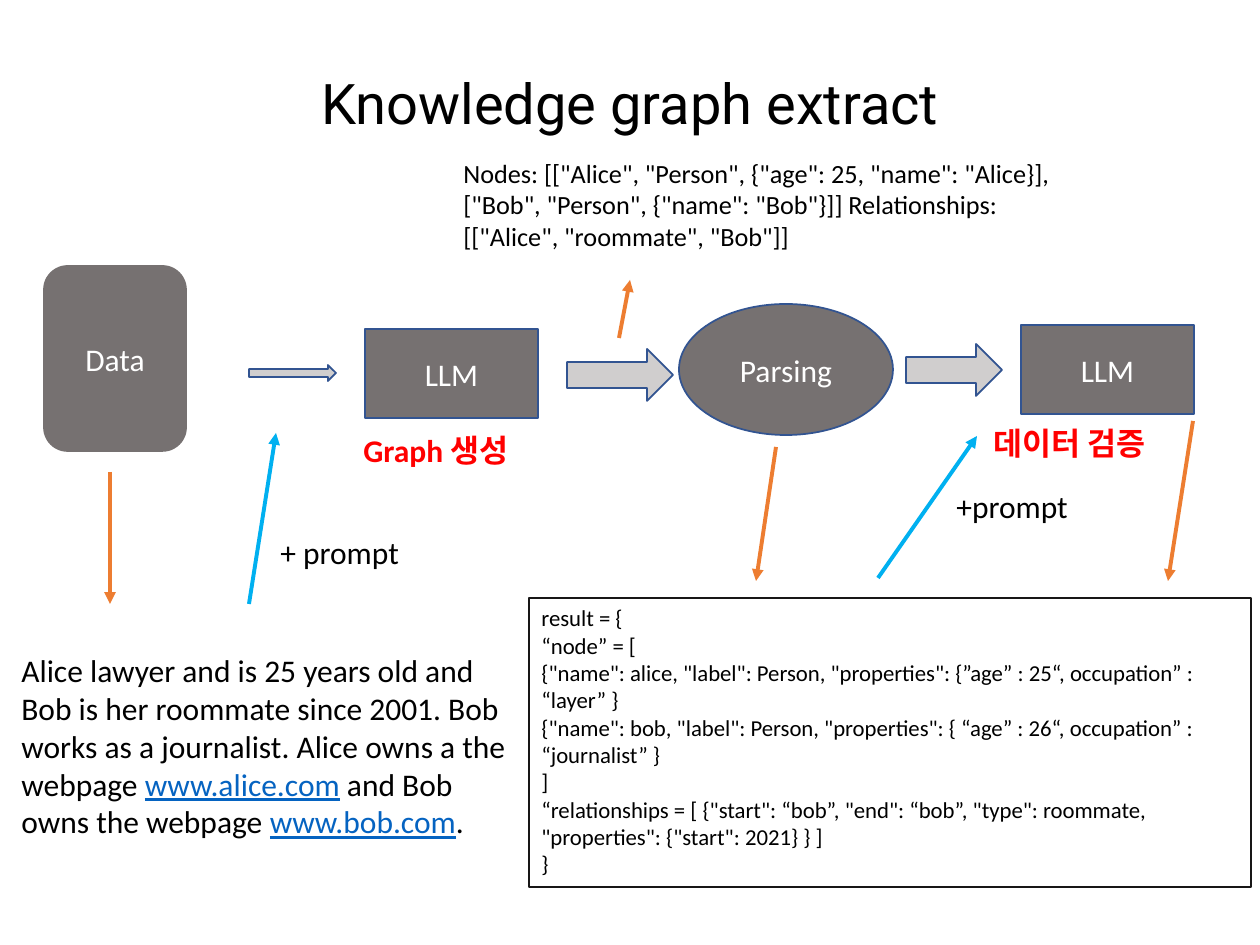
from dataclasses import dataclass

from lxml import etree
from pptx import Presentation
from pptx.dml.color import RGBColor
from pptx.enum import shapes, text
from pptx.oxml import ns
from pptx.util import Pt

PX = 914400 / 126
KIND = shapes.MSO_SHAPE
MIDDLE = text.MSO_ANCHOR.MIDDLE
CENTER = text.PP_ALIGN.CENTER


@dataclass(frozen=True)
class Theme:
    font: str = "Calibri"
    title_font: str = "Roboto"
    ink: str = "000000"
    paper: str = "FFFFFF"
    node: str = "767171"
    arrow: str = "D0CECE"
    outline: str = "325491"
    frame: str = "181717"
    output: str = "ED7D31"
    prompt: str = "00B0F0"
    stage: str = "FF0000"
    link: str = "0563C1"
    title_size: int = 32
    body_size: int = 18
    nodes_size: int = 15
    code_size: int = 13


T = Theme()


def emu(*lengths):
    return [round(n * PX) for n in lengths]


def rgb(color):
    return RGBColor.from_string(color)


def write(sp, paragraphs, size=T.body_size, color=T.ink, font=T.font, bold=False,
          align=None, anchor=text.MSO_ANCHOR.TOP, spacing=None):
    """Fill sp with paragraphs; each is a string or a list of (text, is_link) runs."""
    tf = sp.text_frame
    tf.word_wrap = True
    tf.vertical_anchor = anchor
    for i, runs in enumerate(paragraphs):
        p = tf.paragraphs[0] if i == 0 else tf.add_paragraph()
        p.alignment = align or text.PP_ALIGN.LEFT
        p.line_spacing = spacing
        for words, is_link in [(runs, False)] if isinstance(runs, str) else runs:
            r = p.add_run()
            r.text = words
            r.font.name, r.font.size, r.font.bold = font, Pt(size), bold
            r.font.underline = is_link
            r.font.color.rgb = rgb(T.link if is_link else color)


def text_box(slide, box, paragraphs, **style):
    write(slide.shapes.add_textbox(*emu(*box)), paragraphs, **style)


def block(slide, kind, box, fill, line, width=1):
    sp = slide.shapes.add_shape(kind, *emu(*box))
    sp.shadow.inherit = False
    sp.fill.solid()
    sp.fill.fore_color.rgb = rgb(fill)
    sp.line.color.rgb = rgb(line)
    sp.line.width = Pt(width)
    return sp


def pointer(slide, start, end, color):
    """Draw a line with an arrowhead at its end."""
    cxn = slide.shapes.add_connector(shapes.MSO_CONNECTOR.STRAIGHT, *emu(*start, *end))
    cxn.line.color.rgb = rgb(color)
    cxn.line.width = Pt(2.25)
    etree.SubElement(cxn.line._get_or_add_ln(), ns.qn("a:tailEnd"), type="triangle")
    etree.SubElement(cxn._element.spPr, ns.qn("a:effectLst"))


def add_title(slide, box):
    text_box(slide, box, ["Knowledge graph extract"], size=T.title_size,
             font=T.title_font, align=CENTER, anchor=MIDDLE, spacing=0.9)


def add_pipeline(slide, left, top):
    """Stages from Data to the second LLM, with the block arrows between them."""
    for x, y, w, h in [(205, 99, 87, 16), (523, 83, 106, 52), (862, 78, 96, 52)]:
        block(slide, KIND.RIGHT_ARROW, (left + x, top + y, w, h), T.arrow, T.outline)

    stages = [
        ("Data", KIND.ROUNDED_RECTANGLE, (0, 0, 142, 185), T.node),
        ("LLM", KIND.RECTANGLE, (321, 63, 173, 89), T.outline),
        ("Parsing", KIND.OVAL, (635, 38, 214, 131), T.outline),
        ("LLM", KIND.RECTANGLE, (977, 59, 173, 89), T.outline),
    ]
    for name, kind, (x, y, w, h), line in stages:
        sp = block(slide, kind, (left + x, top + y, w, h), T.node, line)
        write(sp, [name], color=T.paper, align=CENTER, anchor=MIDDLE)

    for label, x, y in [("Graph 생성", 307, 159), ("데이터 검증", 937, 152)]:
        text_box(slide, (left + x, top + y, 224, 50), [label], color=T.stage, bold=True)


def add_flows(slide, left, top):
    """Thin arrows for outputs and prompts, relative to the pipeline's corner."""
    flows = [
        ((66, 206), (66, 338), T.output),
        ((575, 72), (586, 14), T.output),
        ((732, 181), (712, 315), T.output),
        ((1149, 155), (1124, 315), T.output),
        ((205, 338), (232, 167), T.prompt),
        ((834, 312), (933, 170), T.prompt),
    ]
    for (x1, y1), (x2, y2), color in flows:
        pointer(slide, (left + x1, top + y1), (left + x2, top + y2), color)
    for label, x, y in [("+ prompt", 224, 261), ("+prompt", 900, 215)]:
        text_box(slide, (left + x, top + y, 164, 50), [label])


def add_passage(slide, box):
    text_box(slide, box, [[
        ("Alice lawyer and is 25 years old and Bob is her roommate since 2001. "
         "Bob works as a journalist. Alice owns a the webpage ", False),
        ("www.alice.com", True),
        (" and Bob owns the webpage ", False),
        ("www.bob.com", True),
        (".", False),
    ]])


def add_extracted_nodes(slide, box):
    text_box(slide, box, [
        'Nodes: [["Alice", "Person", {"age": 25, "name": "Alice}], '
        '["Bob", "Person", {"name": "Bob"}]] '
        'Relationships: [["Alice", "roommate", "Bob"]]',
    ], size=T.nodes_size)


def add_result(slide, box):
    sp = block(slide, KIND.RECTANGLE, box, T.paper, T.frame, 0.75)
    write(sp, [
        'result = {',
        '“node” = [',
        '{"name": alice, "label": Person, "properties": {”age” : 25“, occupation” : “layer” }',
        '{"name": bob, "label": Person, "properties": { “age” : 26“, occupation” : “journalist” }',
        ']',
        '“relationships = [ {"start": “bob”, "end": “bob”, "type": roommate, '
        '"properties": {"start": 2021} } ]',
        '}',
    ], size=T.code_size)


def main():
    prs = Presentation()
    prs.slide_width, prs.slide_height = emu(1260, 945)
    slide = prs.slides.add_slide(prs.slide_layouts[6])
    add_title(slide, (87, 50, 1086, 112))
    add_extracted_nodes(slide, (451, 151, 630, 108))
    add_passage(slide, (9, 645, 520, 204))
    add_result(slide, (529, 598, 722, 289))
    add_pipeline(slide, 44, 266)
    add_flows(slide, 44, 266)
    prs.save("out.pptx")


if __name__ == "__main__":
    main()
